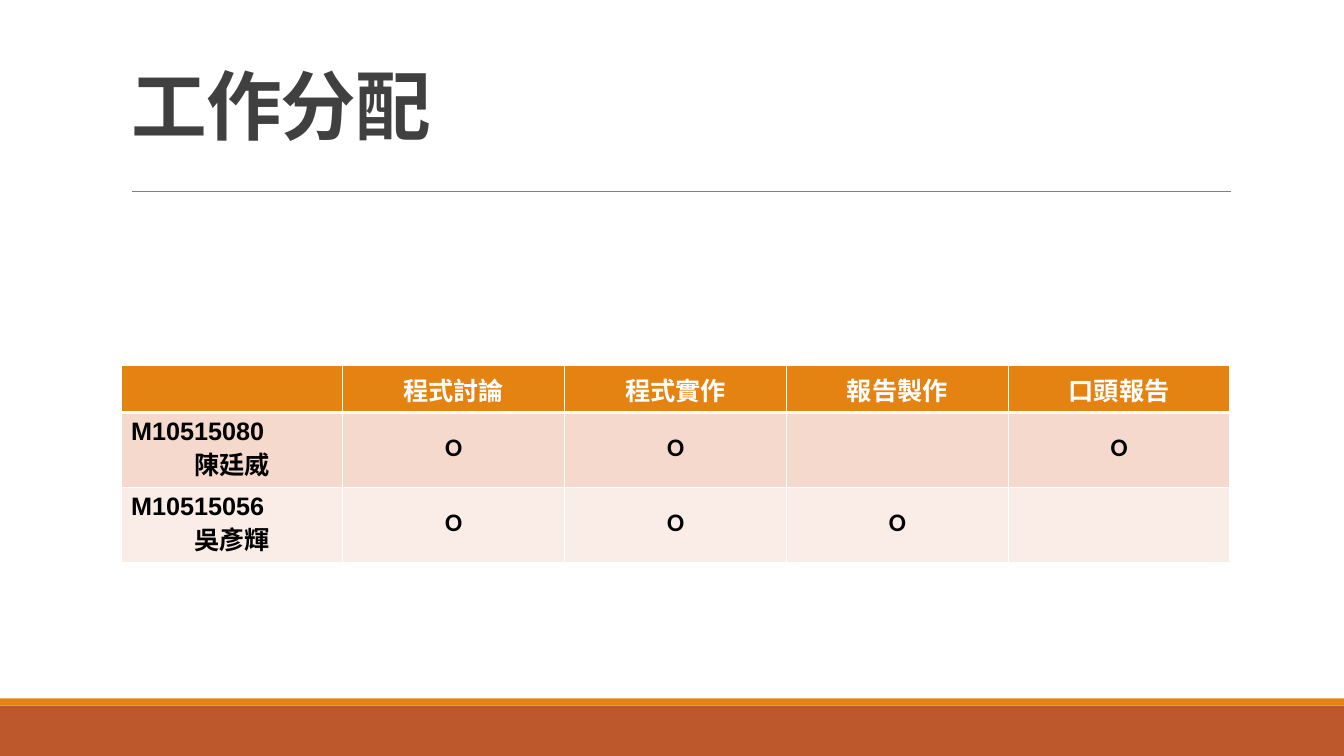
from dataclasses import dataclass

from lxml import etree
from pptx import Presentation
from pptx.dml.color import RGBColor
from pptx.enum import shapes, text
from pptx.oxml import ns
from pptx.util import Inches, Pt


@dataclass(frozen=True)
class Theme:
    orange: str = "E48312"
    rust: str = "BD582C"
    rule: str = "808080"
    heading: str = "404040"
    white: str = "FFFFFF"
    black: str = "000000"
    row_fills: tuple = ("F5D9CC", "FAEDE7")
    cjk: str = "Noto Sans CJK SC"
    id_font: str = "Arial"
    mark_font: str = "Calibri"
    title_size: int = 54
    table_size: int = 18


theme = Theme()


def style(paragraph, font, size, color):
    for run in paragraph.runs:
        run.font.name = font
        run.font.size = Pt(size)
        run.font.bold = True
        run.font.color.rgb = RGBColor.from_string(color)
        east_asian = etree.Element(ns.qn("a:ea"), typeface=theme.cjk)
        run.font._element.find(ns.qn("a:latin")).addnext(east_asian)


def set_borders(cell, top, bottom):
    properties = cell._tc.get_or_add_tcPr()
    for index, (side, width) in enumerate(
            (("L", 1), ("R", 1), ("T", top), ("B", bottom))):
        edge = etree.Element(ns.qn(f"a:ln{side}"), w=str(Pt(width)))
        fill = etree.SubElement(edge, ns.qn("a:solidFill"))
        etree.SubElement(fill, ns.qn("a:srgbClr"), val=theme.white)
        properties.insert(index, edge)


prs = Presentation()
prs.slide_width, prs.slide_height = Inches(13.33), Inches(7.5)
slide = prs.slides.add_slide(prs.slide_layouts[5])

# Footer bands
for top, height, color in ((7, 0.5, theme.rust), (6.93, 0.07, theme.orange)):
    band = slide.shapes.add_shape(shapes.MSO_SHAPE.RECTANGLE, 0, Inches(top),
                                  prs.slide_width, Inches(height))
    band.shadow.inherit = False
    band.fill.solid()
    band.fill.fore_color.rgb = RGBColor.from_string(color)
    band.line.fill.background()

# Rule under the title
rule = slide.shapes.add_connector(shapes.MSO_CONNECTOR.STRAIGHT, Inches(1.31),
                                  Inches(1.9), Inches(12.21), Inches(1.9))
rule.line.color.rgb = RGBColor.from_string(theme.rule)
rule.line.width = Pt(0.5)
etree.SubElement(rule._element.spPr, ns.qn("a:effectLst"))

# Title
title = slide.shapes.title
title.left, title.top = Inches(1.2), Inches(0.31)
title.width, title.height = Inches(11), Inches(1.59)
title.text_frame.text = "工作分配"
title.text_frame.word_wrap = True
title.text_frame.auto_size = text.MSO_AUTO_SIZE.NONE
title.text_frame.vertical_anchor = text.MSO_ANCHOR.MIDDLE
heading = title.text_frame.paragraphs[0]
heading.alignment = text.PP_ALIGN.LEFT
heading.line_spacing = 0.85
style(heading, theme.cjk, theme.title_size, theme.heading)
heading.runs[0].font._element.set("spc", "-50")

# Work table
tasks = ["", "程式討論", "程式實作", "報告製作", "口頭報告"]
members = [
    ["M10515080\n陳廷威", "O", "O", "", "O"],
    ["M10515056\n吳彥輝", "O", "O", "O", ""],
]
rows = [tasks] + members
row_heights = (0.45, 0.74, 0.74)
work = slide.shapes.add_table(len(rows), len(tasks), Inches(1.2), Inches(3.63),
                              Inches(11), Inches(sum(row_heights))).table
for column in work.columns:
    column.width = Inches(11 / len(tasks))

for r, entries in enumerate(rows):
    work.rows[r].height = Inches(row_heights[r])
    for c, entry in enumerate(entries):
        cell = work.cell(r, c)
        cell.fill.solid()
        cell.fill.fore_color.rgb = RGBColor.from_string(
            theme.row_fills[r - 1] if r else theme.orange)
        set_borders(cell, top=3 if r == 1 else 1, bottom=1 if r else 3)
        cell.text_frame.text = entry
        for paragraph in cell.text_frame.paragraphs:
            paragraph.alignment = text.PP_ALIGN.CENTER
            if r == 0:
                style(paragraph, theme.cjk, theme.table_size, theme.white)
            elif c == 0:
                style(paragraph, theme.id_font, theme.table_size, theme.black)
            else:
                paragraph.line_spacing = 1.5
                style(paragraph, theme.mark_font, theme.table_size, theme.black)
        if r and c == 0:
            cell.text_frame.paragraphs[0].alignment = text.PP_ALIGN.LEFT

prs.save("out.pptx")
